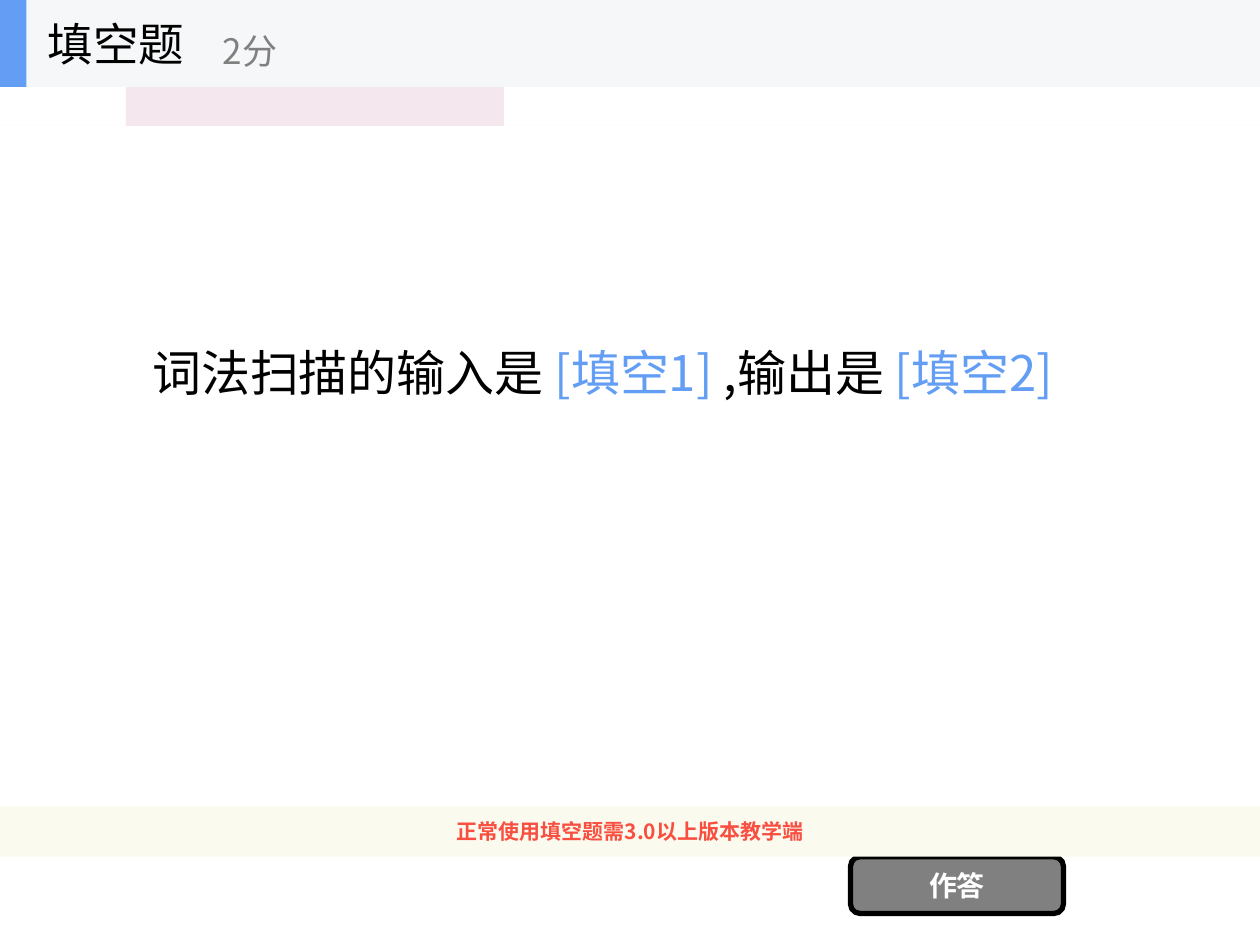
from lxml import etree
from pptx import Presentation
from pptx import util as u
from pptx.dml.color import RGBColor
from pptx.enum import shapes, text
from pptx.oxml.ns import qn

BLACK = RGBColor(0x00, 0x00, 0x00)
WHITE = RGBColor(0xFF, 0xFF, 0xFF)
GRAY = RGBColor(0x80, 0x80, 0x80)
BLUE = RGBColor(0x63, 0x9E, 0xF4)
RED = RGBColor(0xF8, 0x4F, 0x41)
PINK = RGBColor(0xF4, 0xE7, 0xED)
CREAM = RGBColor(0xFB, 0xFA, 0xEF)
HEADER = RGBColor(0xF6, 0xF7, 0xF8)

RECT = shapes.MSO_SHAPE.RECTANGLE
ROUND_RECT = shapes.MSO_SHAPE.ROUNDED_RECTANGLE
LEFT, CENTER = text.PP_ALIGN.LEFT, text.PP_ALIGN.CENTER


def write(sp, *runs, size, bold=False, align=LEFT, font="Noto Sans CJK SC"):
    """Fill a shape with one paragraph of (text, colour) runs."""
    tf = sp.text_frame
    tf.word_wrap = True
    tf.auto_size = text.MSO_AUTO_SIZE.NONE
    tf.vertical_anchor = text.MSO_ANCHOR.MIDDLE
    p = tf.paragraphs[0]
    p.alignment = align
    for words, color in runs:
        r = p.add_run()
        r.text = words
        r.font.size = u.Pt(size)
        r.font.bold = bold
        r.font.name = font
        r.font.color.rgb = color
        ea = etree.SubElement(r.font._element, qn("a:ea"))
        ea.set("typeface", font)


class QuizSlide:
    def __init__(self, prs):
        self.slide = prs.slides.add_slide(prs.slide_layouts[5])
        self.shapes = self.slide.shapes

    def paint(self, sp, fill, line=None, width=0):
        sp.shadow.inherit = False
        sp.fill.solid()
        sp.fill.fore_color.rgb = fill
        if line is None:
            sp.line.fill.background()
        else:
            sp.line.color.rgb = line
            sp.line.width = u.Pt(width)
        return sp

    def box(self, kind, at, fill, **outline):
        sp = self.shapes.add_shape(kind, *map(u.Inches, at))
        return self.paint(sp, fill, **outline)

    def polygon(self, points, fill):
        builder = self.shapes.build_freeform(*points[0], scale=u.Inches(1))
        builder.add_line_segments(points[1:], close=True)
        return self.paint(builder.convert_to_shape(), fill)

    def label(self, at, *runs, **style):
        sp = self.shapes.add_textbox(*map(u.Inches, at))
        write(sp, *runs, **style)

    def title(self, at, *runs, **style):
        """Place the title placeholder in front of the shapes drawn so far."""
        sp = self.shapes.title
        sp.left, sp.top, sp.width, sp.height = map(u.Inches, at)
        write(sp, *runs, **style)
        self.shapes._spTree.append(sp._element)


def main():
    prs = Presentation()
    prs.slide_width, prs.slide_height = u.Inches(10), u.Inches(7.5)
    s = QuizSlide(prs)

    s.polygon([(0, 1.03), (0.76, 1.03), (1.35, 0.39), (3.75, 0.39),
               (3.93, 0.6), (9.99, 0.59), (10.01, 1.38), (0.01, 1.36)], PINK)

    s.label((1.11, 1.78, 8, 2.34),
            ("词法扫描的输入是 ", BLACK), ("[填空1]", BLUE),
            (" ,输出是 ", BLACK), ("[填空2]", BLUE), size=28)

    button = s.box(ROUND_RECT, (6.75, 6.8, 1.69, 0.45), GRAY, line=BLACK, width=3)
    write(button, ("作答", WHITE), size=16, bold=True, align=CENTER)

    notice = s.box(RECT, (0, 6.4, 10, 0.4), CREAM)
    write(notice, ("正常使用填空题需3.0以上版本教学端", RED),
          size=12, bold=True, align=CENTER)

    s.box(RECT, (0, 0, 10, 0.69), HEADER)
    s.box(RECT, (0, 0, 0.21, 0.69), BLUE)
    s.title((0.28, 0, 2.08, 0.69), ("填空题", BLACK), size=26)
    s.label((1.67, 0.12, 2.5, 0.56), ("2分", GRAY), size=20)

    prs.save("out.pptx")


if __name__ == "__main__":
    main()
